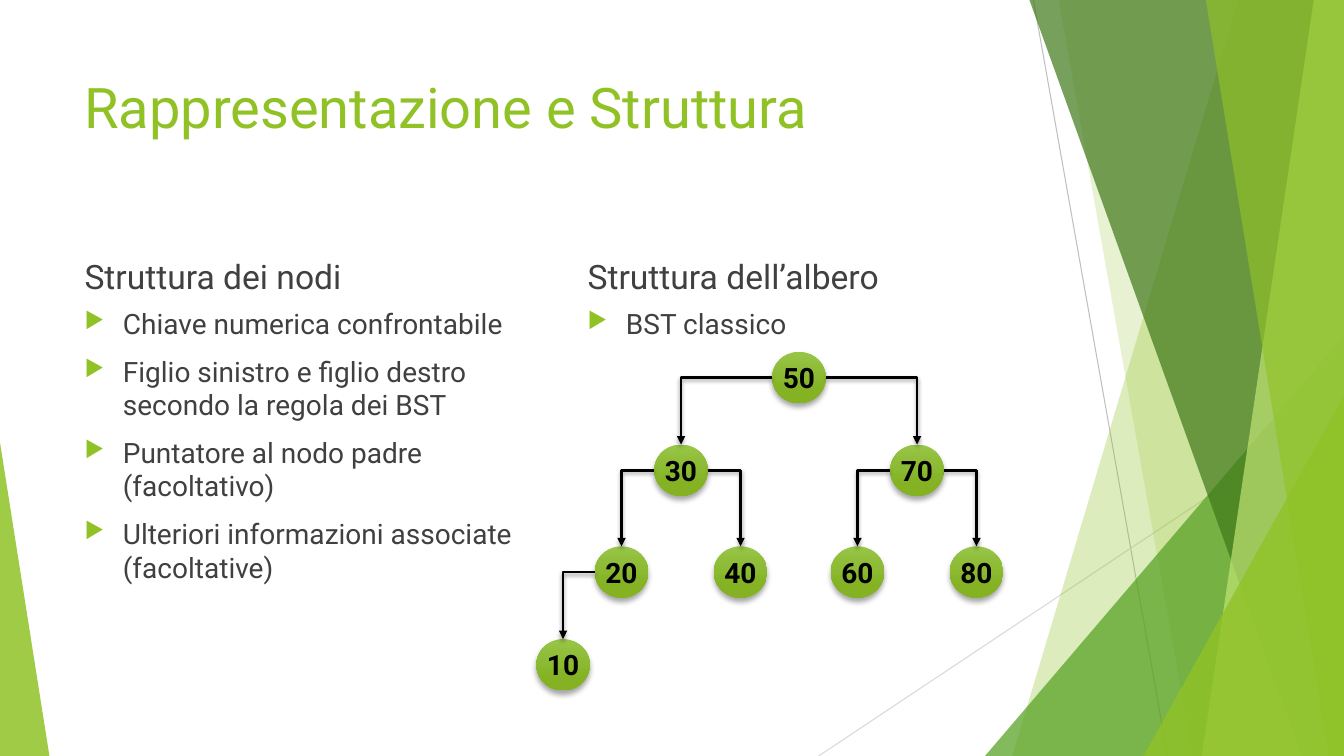
from dataclasses import dataclass

from lxml import etree
from pptx import Presentation
from pptx import util as u
from pptx.dml.color import RGBColor
from pptx.enum import shapes, text
from pptx.oxml import ns

PX = 9144  # EMU per px, 100 px to the inch
WIDTH, HEIGHT = 1333, 750
FONT = "Roboto"
GREEN, GREY, BLACK = "90C226", "404040", "000000"


@dataclass(frozen=True)
class Ray:
    start: tuple[int, int]
    end: tuple[int, int]
    color: str


@dataclass(frozen=True)
class Band:
    """A facet reaching the right edge, from its left end at the top to that at the bottom."""
    top: int
    bottom: int
    color: str
    opacity: int


@dataclass(frozen=True)
class Corner:
    """A right triangle standing on the bottom edge."""
    left: int
    top: int
    width: int
    apex: int
    color: str
    opacity: int


@dataclass(frozen=True)
class Column:
    left: int
    heading: str
    items: tuple[str, ...]


@dataclass(frozen=True)
class Node:
    key: int
    depth: int
    parent: int | None = None


RAYS = (Ray((1025, 0), (1158, 750), "BFBFBF"), Ray((1333, 403), (812, 750), "D9D9D9"))
FACETS = (
    Band(1228, 1004, GREEN, 30),
    Band(1050, 1183, GREEN, 20),
    Corner(977, 333, 356, 1, "54A021", 72),
    Band(1021, 1291, "3F7819", 70),
    Band(1303, 1192, "C0E474", 70),
    Band(1196, 1318, GREEN, 65),
    Corner(1134, 393, 199, 1, GREEN, 80),
    Corner(0, 439, 49, 0, GREEN, 85),
)
COLUMNS = (
    Column(74, "Struttura dei nodi", (
        "Chiave numerica confrontabile",
        "Figlio sinistro e figlio destro secondo la regola dei BST",
        "Puntatore al nodo padre (facoltativo)",
        "Ulteriori informazioni associate (facoltative)",
    )),
    Column(573, "Struttura dell’albero", ("BST classico",)),
)
NODES = (
    Node(50, 0), Node(30, 1, 50), Node(70, 1, 50), Node(20, 2, 30),
    Node(40, 2, 30), Node(60, 2, 70), Node(80, 2, 70), Node(10, 3, 20),
)
ROW_TOPS = (349, 441, 542, 634)
NODE_W, NODE_H = 53, 51
FIRST_NODE_X, SLOT = 532, 58.5  # keys in order take evenly spaced slots


def px(*lengths: int) -> list[u.Emu]:
    return [u.Emu(length * PX) for length in lengths]


def rgb(color: str) -> RGBColor:
    return RGBColor.from_string(color)


def add_xml(parent, tag: str, **attributes):
    child = etree.SubElement(parent, ns.qn(tag))
    for name, value in attributes.items():
        child.set(name, str(value))
    return child


def add_shadow(effects, blur: int, distance: int) -> None:
    outer = add_xml(effects, "a:outerShdw", blurRad=u.Pt(blur), dist=u.Pt(distance),
                    dir=5400000, rotWithShape=0)
    add_xml(add_xml(outer, "a:srgbClr", val=BLACK), "a:alpha", val=35000)


def add_span(para, words: str, size: int, color: str, bold: bool = False) -> None:
    span = para.add_run()
    span.text = words
    span.font.name, span.font.size, span.font.bold = FONT, u.Pt(size), bold
    span.font.color.rgb = rgb(color)


def add_box(page, left: int, top: int, width: int, height: int, anchor):
    frame = page.shapes.add_textbox(*px(left, top, width, height)).text_frame
    frame.word_wrap, frame.vertical_anchor = True, anchor
    return frame


def draw_ray(page, ray: Ray) -> None:
    line = page.shapes.add_connector(shapes.MSO_CONNECTOR.STRAIGHT, *px(*ray.start, *ray.end))
    line.line.color.rgb, line.line.width = rgb(ray.color), u.Pt(0.75)
    add_xml(line._element.spPr, "a:effectLst")


def draw_facet(page, facet: Band | Corner) -> None:
    if isinstance(facet, Band):
        outline = page.shapes.build_freeform(facet.top, 0, scale=PX)
        outline.add_line_segments([(WIDTH, 0), (WIDTH, HEIGHT), (facet.bottom, HEIGHT)])
        shape = outline.convert_to_shape()
    else:
        shape = page.shapes.add_shape(
            shapes.MSO_SHAPE.ISOSCELES_TRIANGLE,
            *px(facet.left, facet.top, facet.width, HEIGHT - facet.top))
        shape.adjustments[0] = facet.apex
    shape.shadow.inherit = False
    shape.line.fill.background()
    shape.fill.solid()
    shape.fill.fore_color.rgb = rgb(facet.color)
    tint = shape._element.spPr.find(ns.qn("a:solidFill"))[0]
    add_xml(tint, "a:alpha", val=facet.opacity * 1000)


def draw_column(page, column: Column) -> None:
    heading = add_box(page, column.left, 236, 458, 63, text.MSO_ANCHOR.BOTTOM)
    add_span(heading.paragraphs[0], column.heading, 24, GREY)
    body = add_box(page, column.left, 299, 458, 361, text.MSO_ANCHOR.TOP)
    for index, item in enumerate(column.items):
        para = body.add_paragraph() if index else body.paragraphs[0]
        marks = para._p.get_or_add_pPr()
        marks.set("marL", str(38 * PX))
        marks.set("indent", str(-38 * PX))
        add_xml(add_xml(marks, "a:buClr"), "a:srgbClr", val=GREEN)
        add_xml(marks, "a:buSzPct", val=80000)
        add_xml(marks, "a:buChar", char="▶")
        if index:
            para.space_before = u.Pt(10)
        add_span(para, item, 20, GREY)


def draw_node(page, node: Node):
    left = FIRST_NODE_X + round(SLOT * (node.key // 10 - 1))
    disc = page.shapes.add_shape(
        shapes.MSO_SHAPE.OVAL, *px(left, ROW_TOPS[node.depth], NODE_W, NODE_H))
    disc.line.fill.background()
    disc.fill.gradient()
    disc.fill.gradient_angle = 270
    for stop, color, position in zip(disc.fill.gradient_stops, ("97C547", "84B223"), (0, 0.78)):
        stop.color.rgb, stop.position = rgb(color), position
    disc.shadow.inherit = False
    add_shadow(disc._element.spPr.find(ns.qn("a:effectLst")), 4, 3)
    frame = disc.text_frame
    frame.word_wrap, frame.vertical_anchor = False, text.MSO_ANCHOR.MIDDLE
    frame.margin_left = frame.margin_right = frame.margin_top = frame.margin_bottom = 0
    para = frame.paragraphs[0]
    para.alignment = text.PP_ALIGN.CENTER
    add_span(para, str(node.key), 20, BLACK, bold=True)
    return disc


def draw_branch(page, parent, child) -> None:
    branch = page.shapes.add_connector(shapes.MSO_CONNECTOR.ELBOW, 0, 0, 0, 0)
    goes_left = child.left < parent.left
    branch.begin_connect(parent, 1 if goes_left else 3)
    branch.end_connect(child, 0)
    # An oval has eight connection sites: 2 is its left, 6 its right
    branch._element.xpath(".//a:stCxn")[0].set("idx", "2" if goes_left else "6")
    properties = branch._element.spPr
    properties.find(ns.qn("a:prstGeom")).set("prst", "bentConnector2")
    branch.line.color.rgb, branch.line.width = rgb(BLACK), u.Pt(2)
    add_xml(properties.find(ns.qn("a:ln")), "a:tailEnd", type="triangle")
    add_shadow(add_xml(properties, "a:effectLst"), 3, 2)


def main() -> None:
    deck = Presentation()
    deck.slide_width, deck.slide_height = px(WIDTH, HEIGHT)
    page = deck.slides.add_slide(deck.slide_layouts[6])

    # Backdrop
    for ray in RAYS:
        draw_ray(page, ray)
    for facet in FACETS:
        draw_facet(page, facet)

    # Title and columns
    title = add_box(page, 74, 67, 940, 144, text.MSO_ANCHOR.TOP)
    add_span(title.paragraphs[0], "Rappresentazione e Struttura", 40, GREEN)
    for column in COLUMNS:
        draw_column(page, column)

    # Search tree
    discs = {node.key: draw_node(page, node) for node in NODES}
    for node in NODES:
        if node.parent is not None:
            draw_branch(page, discs[node.parent], discs[node.key])

    deck.save("out.pptx")


if __name__ == "__main__":
    main()
